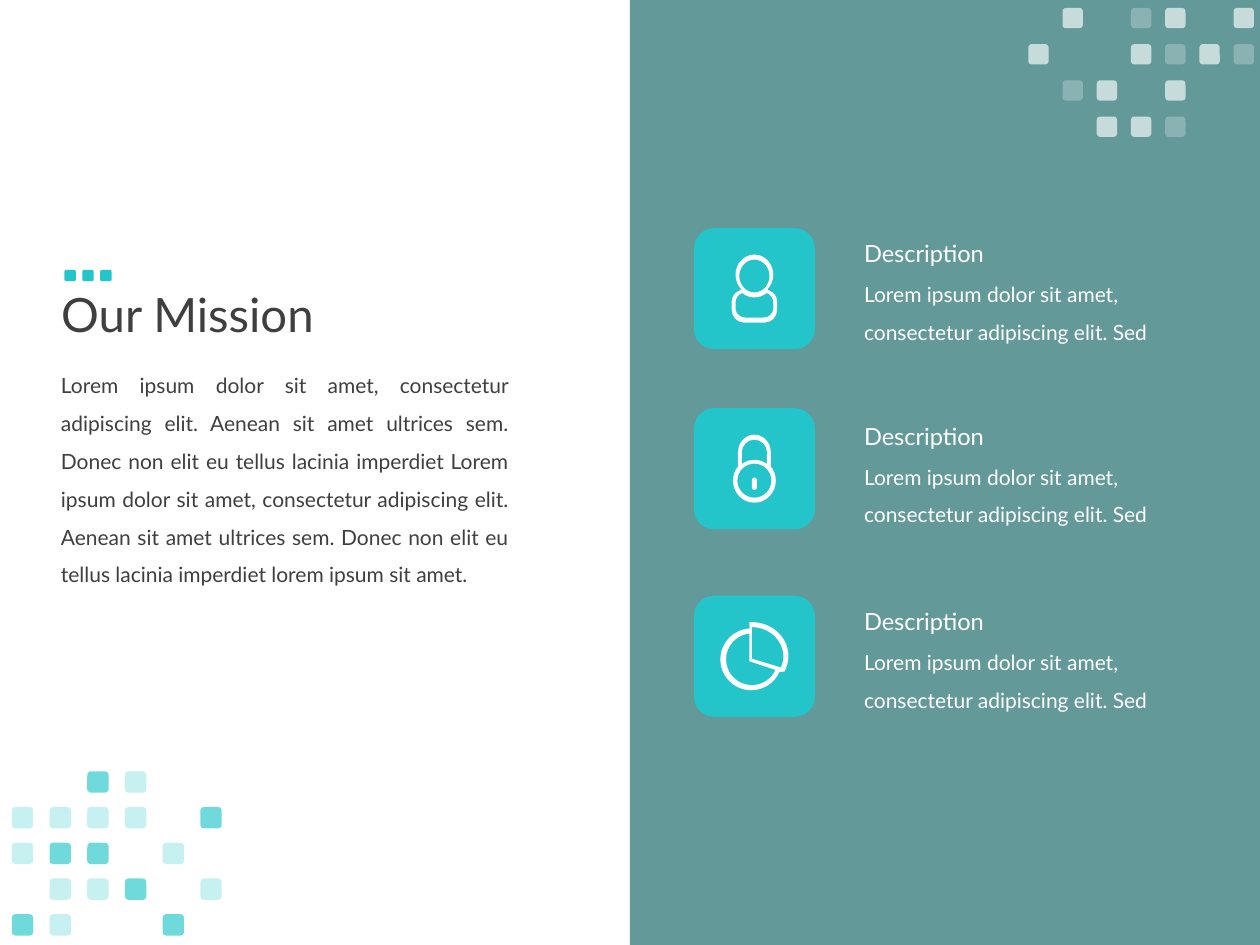
import math

import pptx
import pptx.util
from lxml import etree
from pptx.dml.color import RGBColor
from pptx.enum.shapes import MSO_SHAPE
from pptx.enum.text import MSO_ANCHOR, MSO_AUTO_SIZE, PP_ALIGN
from pptx.oxml.ns import qn
from pptx.util import Cm

# ---- Content ----
TITLE = "Our Mission"
MISSION = (
    "Lorem ipsum dolor sit amet, consectetur adipiscing elit. Aenean sit amet "
    "ultrices sem. Donec non elit eu tellus lacinia imperdiet Lorem ipsum dolor "
    "sit amet, consectetur adipiscing elit. Aenean sit amet ultrices sem. Donec "
    "non elit eu tellus lacinia imperdiet lorem ipsum sit amet."
)
LABEL = "Description"
DETAIL = "Lorem ipsum dolor sit amet, consectetur adipiscing elit. Sed"

# Icon outlines in grid units from the tile corner: each contour joins points
# (x, y) and arcs (x, y, x radius, y radius, start degrees, end degrees).
PERSON = [
    [(48, 37, 15, 16, 47, -227), (40, 58, 10, 9, 240, 180), (40, 65, 10, 10, 180, 90),
     (56, 65, 10, 10, 90, 0), (56, 58, 10, 9, 0, -60)],
    [(48, 38, 12, 13, 0, 360)],
    [(48, 38, 16, 17, 125, 55), (55, 59, 8, 8, -70, 0), (55, 64, 8, 7, 0, 90),
     (41, 64, 8, 7, 90, 180), (41, 59, 8, 8, 180, 250)],
]
PADLOCK = [
    [(48, 35, 13, 14, 180, 360), (48, 57.5, 17, 17.5, -40, 220)],
    [(48, 35, 10, 10, 180, 360), (48, 57.5, 16.5, 16.5, -53, -127)],
    [(48, 57.5, 13.5, 13.5, 0, 360)],
    [(48, 57, 2, 2, 180, 360), (48, 63, 2, 2, 0, 180)],
]
PIE = [
    [(44, 21), (45.5, 50.5, 24.5, 24.5, -93, -336), (46, 48, 29, 27, 27, -90)],
    [(44, 30), (44, 52), (65, 59), (46, 50.5, 20.5, 20.5, 24, 266)],
    [(69, 57), (46, 50), (46, 25), (46, 48, 25, 23, -90, 23)],
]
# Tile top, label top, icon
FEATURES = [(4.6, 4.7, PERSON), (8.23, 8.38, PADLOCK), (12.01, 12.12, PIE)]

# Mosaics: "#" is a strong square, "-" a faint one, "." a gap
TITLE_DOTS = ["###"]
TOP_MOSAIC = [".#.-#.#", "#..#-#-", ".-#.#..", "..##-.."]
BOTTOM_MOSAIC = ["..#-..", "----.#", "-##.-.", ".--#.-", "#-..#."]

# ---- Theme and measures (cm) ----
THEME = {
    "font": "Lato", "ink": "3F3F3F", "white": "FFFFFF",
    "accent": "23C5CA", "panel": "126365",
    "title": 27, "label": 13.5, "body": 12,
    "strong": 65, "faint": 25,
}
WIDTH, HEIGHT = 25.4, 19.05
TEXT_LEFT = 0.98
TILE_LEFT, TILE_SIDE = 13.99, 2.44
FEATURE_LEFT, DETAIL_DROP = 17.17, 0.6
ICON_UNIT = Cm(2.54) / 100


def paint(shape, color, opacity=100):
    shape.shadow.inherit = False
    shape.line.fill.background()
    shape.fill.solid()
    shape.fill.fore_color.rgb = RGBColor.from_string(color)
    if opacity < 100:
        rgb = shape.fill._xPr.find(qn("a:solidFill"))[0]
        etree.SubElement(rgb, qn("a:alpha"), val=str(opacity * 1000))


def write(frame, text, size, color, spacing=None, align=PP_ALIGN.LEFT):
    frame.word_wrap = True
    paragraph = frame.paragraphs[0]
    paragraph.alignment = align
    paragraph.line_spacing = spacing
    run = paragraph.add_run()
    run.text = text
    run.font.name = THEME["font"]
    run.font.size = pptx.util.Pt(THEME[size])
    run.font.color.rgb = RGBColor.from_string(THEME[color])


def add_text(slide, box, *args, **kwargs):
    frame = slide.shapes.add_textbox(*map(Cm, box)).text_frame
    write(frame, *args, **kwargs)
    frame.auto_size = MSO_AUTO_SIZE.SHAPE_TO_FIT_TEXT


def add_mosaic(slide, rows, left, top, step_x, step_y, side, color, opacities):
    mosaic = slide.shapes.add_group_shape()
    for r, row in enumerate(rows):
        for c, mark in enumerate(row):
            if mark in opacities:
                square = mosaic.shapes.add_shape(
                    MSO_SHAPE.ROUNDED_RECTANGLE, Cm(left + c * step_x),
                    Cm(top + r * step_y), Cm(side), Cm(side))
                paint(square, THEME[color], opacities[mark])


def arc_knots(x, y, rx, ry, start, end):
    """Split an arc at its extremes; give each knot with its Bezier controls."""
    turns = [a for a in range(-360, 361, 90) if min(start, end) < a < max(start, end)]
    angles = [math.radians(a) for a in
              [start, *sorted(turns, reverse=end < start), end]]

    def at(angle, pull=0):
        return (x + rx * (math.cos(angle) - pull * math.sin(angle)),
                y + ry * (math.sin(angle) + pull * math.cos(angle)))

    knots = [(at(angles[0]), [])]
    for a, b in zip(angles, angles[1:]):
        pull = 4 / 3 * math.tan((b - a) / 4)
        knots.append((at(b), [at(a, pull), at(b, -pull)]))
    return knots


def add_icon(slide, contours, left, top):
    def place(point):
        return left + point[0] * ICON_UNIT, top + point[1] * ICON_UNIT

    builder, controls = None, []
    for contour in contours:
        knots = []
        for piece in contour:
            knots += arc_knots(*piece) if len(piece) > 2 else [(piece, [])]
        points = [place(point) for point, _ in knots]
        if builder is None:
            builder = slide.shapes.build_freeform(*points[0])
        else:
            builder.move_to(*points[0])
        builder.add_line_segments(points[1:], close=True)
        controls += knots[1:]
    icon = builder.convert_to_shape()
    paint(icon, THEME["white"])

    # Bend the segments that belong to arcs
    segments = list(icon._element.iter(qn("a:lnTo")))
    for segment, (point, handles) in zip(segments, controls):
        if handles:
            curve = etree.Element(qn("a:cubicBezTo"))
            for x, y in map(place, [*handles, point]):
                etree.SubElement(curve, qn("a:pt"), x=str(round(x - icon.left)),
                                 y=str(round(y - icon.top)))
            segment.getparent().replace(segment, curve)


def main():
    deck = pptx.Presentation()
    deck.slide_width, deck.slide_height = Cm(WIDTH), Cm(HEIGHT)
    slide = deck.slides.add_slide(deck.slide_layouts[5])

    # Title
    title = slide.shapes.title
    title.left, title.top, title.width, title.height = map(
        Cm, (TEXT_LEFT, 4.27, 21.89, 4.24))
    title.text_frame.vertical_anchor = MSO_ANCHOR.MIDDLE
    write(title.text_frame, TITLE, "title", "ink", 0.9)

    # Right-hand panel and mission text
    panel = slide.shapes.add_shape(
        MSO_SHAPE.RECTANGLE, Cm(WIDTH / 2), 0, Cm(WIDTH / 2), Cm(HEIGHT))
    paint(panel, THEME["panel"], THEME["strong"])
    add_text(slide, (TEXT_LEFT, 7.14, 9.53, 4.78), MISSION, "body", "ink",
             1.5, PP_ALIGN.JUSTIFY)

    # Features: tile, icon, label and detail
    for tile_top, label_top, icon in FEATURES:
        tile = slide.shapes.add_shape(
            MSO_SHAPE.ROUNDED_RECTANGLE,
            *map(Cm, (TILE_LEFT, tile_top, TILE_SIDE, TILE_SIDE)))
        paint(tile, THEME["accent"])
        add_icon(slide, icon, Cm(TILE_LEFT), Cm(tile_top))
        add_text(slide, (FEATURE_LEFT, label_top + DETAIL_DROP, 7.57, 1.7),
                 DETAIL, "body", "white", 1.5)
        add_text(slide, (FEATURE_LEFT, label_top, 4.47, 0.84),
                 LABEL, "label", "white")

    # Decorative squares
    shades = {"#": THEME["strong"], "-": THEME["faint"]}
    add_mosaic(slide, TITLE_DOTS, 1.3, 5.44, 0.36, 0.36, 0.23, "accent", {"#": 100})
    add_mosaic(slide, TOP_MOSAIC, 20.73, 0.16, 0.69, 0.73, 0.41, "white", shades)
    add_mosaic(slide, BOTTOM_MOSAIC, 0.24, 15.55, 0.76, 0.72, 0.43, "accent", shades)

    deck.save("out.pptx")


if __name__ == "__main__":
    main()
